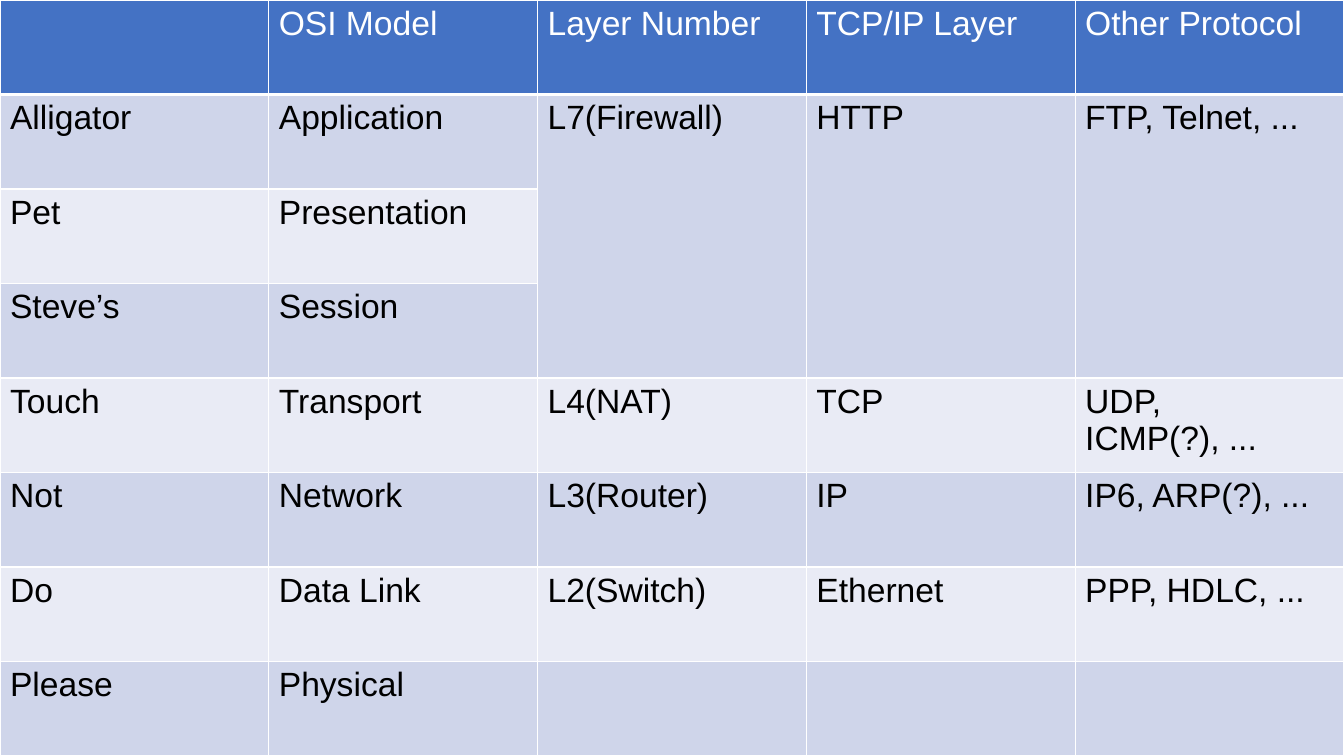
from lxml import etree
from pptx import Presentation
from pptx.dml.color import RGBColor
from pptx.oxml.ns import qn
from pptx.util import Pt

HEADER_BLUE = RGBColor(0x44, 0x72, 0xC4)
BAND_DARK = RGBColor(0xCF, 0xD5, 0xEA)
BAND_LIGHT = RGBColor(0xE9, 0xEB, 0xF5)
WHITE = RGBColor(0xFF, 0xFF, 0xFF)
BLACK = RGBColor(0x00, 0x00, 0x00)

SLIDE_WIDTH, SLIDE_HEIGHT = 960, 540
THIN_BORDER, HEADER_BORDER = 1, 3

LAYER_ROWS = [
    ["", "OSI Model", "Layer Number", "TCP/IP Layer", "Other Protocol"],
    ["Alligator", "Application", "L7(Firewall)", "HTTP", "FTP, Telnet, ..."],
    ["Pet", "Presentation", "", "", ""],
    ["Steve’s", "Session", "", "", ""],
    ["Touch", "Transport", "L4(NAT)", "TCP", "UDP, ICMP(?), ..."],
    ["Not", "Network", "L3(Router)", "IP", "IP6, ARP(?), ..."],
    ["Do", "Data Link", "L2(Switch)", "Ethernet", "PPP, HDLC, ..."],
    ["Please", "Physical", "", "", ""],
]
MERGED_COLUMNS = (2, 3, 4)
MERGED_FIRST_ROW, MERGED_LAST_ROW = 1, 3


def set_borders(cell, top, bottom):
    """Draw white borders; top and bottom are widths in points."""
    properties = cell._tc.get_or_add_tcPr()
    widths = {"a:lnL": THIN_BORDER, "a:lnR": THIN_BORDER, "a:lnT": top, "a:lnB": bottom}
    for tag, width in widths.items():
        line = etree.SubElement(properties, qn(tag), w=str(Pt(width)))
        fill = etree.SubElement(line, qn("a:solidFill"))
        etree.SubElement(fill, qn("a:srgbClr"), val=str(WHITE))


def format_cell(cell, text, row_index):
    is_header = row_index == 0
    # Borders precede the fill in the cell properties
    set_borders(
        cell,
        top=HEADER_BORDER if row_index == 1 else THIN_BORDER,
        bottom=HEADER_BORDER if is_header else THIN_BORDER,
    )
    cell.fill.solid()
    band = BAND_DARK if row_index % 2 else BAND_LIGHT
    cell.fill.fore_color.rgb = HEADER_BLUE if is_header else band
    cell.margin_left = cell.margin_right = Pt(7.2)
    cell.margin_top = cell.margin_bottom = Pt(3.6)
    if text:
        cell.text_frame.text = text
        font = cell.text_frame.paragraphs[0].runs[0].font
        font.name = "Arial"
        font.size = Pt(24)
        font.bold = False
        font.color.rgb = WHITE if is_header else BLACK


def add_layer_table(slide, left, top, width, height):
    row_count, column_count = len(LAYER_ROWS), len(LAYER_ROWS[0])
    table = slide.shapes.add_table(
        row_count, column_count, Pt(left), Pt(top), Pt(width), Pt(height)
    ).table

    # Equal columns and rows
    for column in table.columns:
        column.width = Pt(width / column_count)
    for row in table.rows:
        row.height = Pt(height / row_count)

    # Contents
    for row_index, texts in enumerate(LAYER_ROWS):
        for column_index, text in enumerate(texts):
            format_cell(table.cell(row_index, column_index), text, row_index)

    # The upper three layers share one cell per protocol column
    for column_index in MERGED_COLUMNS:
        first_cell = table.cell(MERGED_FIRST_ROW, column_index)
        first_cell.merge(table.cell(MERGED_LAST_ROW, column_index))


def main():
    presentation = Presentation()
    presentation.slide_width = Pt(SLIDE_WIDTH)
    presentation.slide_height = Pt(SLIDE_HEIGHT)
    slide = presentation.slides.add_slide(presentation.slide_layouts[6])
    add_layer_table(slide, 0, 0, SLIDE_WIDTH, SLIDE_HEIGHT)
    presentation.save("out.pptx")


if __name__ == "__main__":
    main()
